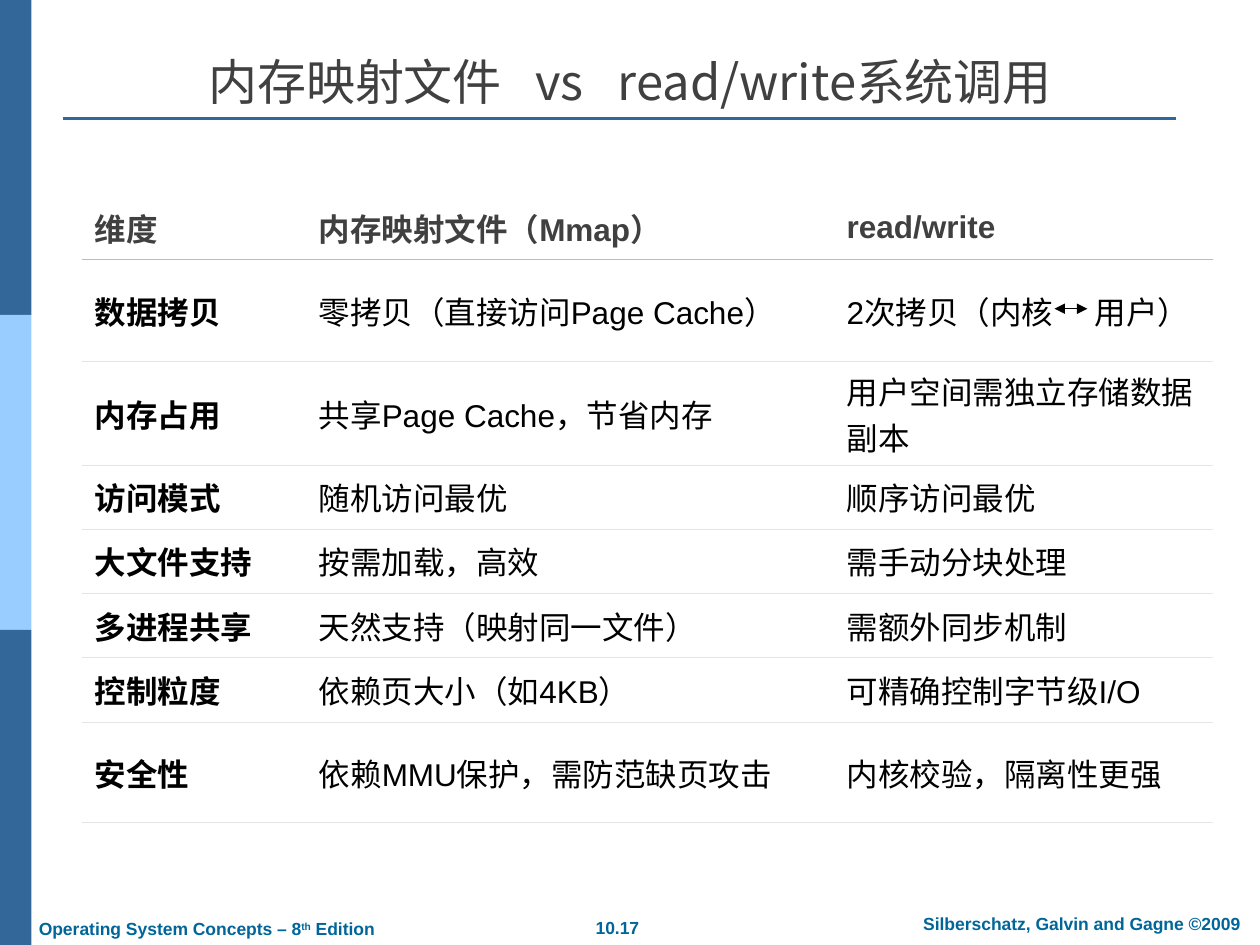
from lxml.etree import SubElement
from pptx import Presentation
from pptx.dml.color import RGBColor
from pptx.enum.shapes import MSO_CONNECTOR, MSO_SHAPE
from pptx.enum.text import MSO_ANCHOR, MSO_AUTO_SIZE, PP_ALIGN
from pptx.oxml import parse_xml
from pptx.oxml.ns import nsdecls, qn
from pptx.util import Inches, Pt

CJK = "Noto Sans CJK SC"
BLUE, SKY, FOOT = "336699", "99CCFF", "006699"
GRAY, BLACK, WHITE = "404040", "000000", "FFFFFF"
HEAD_RULE, ROW_RULE = "BBBBBB", "E5E5E5"
NO_STYLE = "{2D5ABB26-0587-4C30-8999-92F81FD0307C}"

TITLE = [("内存映射文件", 0), (" ", 13), ("vs", 0), (" ", 13), ("read/write系统调用", 0)]
ROWS = [
    ("维度", "内存映射文件（Mmap）", "read/write"),
    ("数据拷贝", "零拷贝（直接访问Page Cache）", "2次拷贝（内核\t用户）"),
    ("内存占用", "共享Page Cache，节省内存", "用户空间需独立存储数据副本"),
    ("访问模式", "随机访问最优", "顺序访问最优"),
    ("大文件支持", "按需加载，高效", "需手动分块处理"),
    ("多进程共享", "天然支持（映射同一文件）", "需额外同步机制"),
    ("控制粒度", "依赖页大小（如4KB）", "可精确控制字节级I/O"),
    ("安全性", "依赖MMU保护，需防范缺页攻击", "内核校验，隔离性更强"),
]
COL_WIDTHS = [1.78, 4.19, 3.01]
ROW_HEIGHTS = [0.51, 0.81, 0.82, 0.51, 0.51, 0.51, 0.51, 0.8]
ARROW_TAB = 1.97
FOOTERS = [
    ((4.37, 7.23, 1.06, 0.27), [("10.17", 0)], PP_ALIGN.CENTER),
    ((7.1, 7.2, 2.97, 0.27), [("Silberschatz, Galvin and Gagne ©2009", 0)],
     PP_ALIGN.CENTER),
    ((0.21, 7.24, 3.2, 0.27),
     [("Operating System Concepts – 8", 0), ("th", 30000), (" Edition", 0)],
     PP_ALIGN.LEFT),
]


def rgb(color):
    return RGBColor.from_string(color)


def add_text(p, text, size=18, color=BLACK, bold=False, font="Arial", spacing=0, raised=0):
    r = p.add_run()
    r.text = text
    f = r.font
    f.size, f.bold, f.name = Pt(size), bold, font
    f.color.rgb = rgb(color)
    rPr = r._r.get_or_add_rPr()
    SubElement(rPr, qn("a:ea")).set("typeface", CJK)
    if spacing:
        rPr.set("spc", str(spacing * 100))
    if raised:
        rPr.set("baseline", str(raised))


def add_line(s, x1, x2, y, color, width, arrows=False):
    line = s.shapes.add_connector(
        MSO_CONNECTOR.STRAIGHT, Inches(x1), Inches(y), Inches(x2), Inches(y))
    line.line.color.rgb = rgb(color)
    line.line.width = Pt(width)
    if arrows:
        ln = line.line._get_or_add_ln()
        for end in ("a:headEnd", "a:tailEnd"):
            SubElement(ln, qn(end)).set("type", "triangle")
    SubElement(line._element.spPr, qn("a:effectLst"))


def set_rule(cell, side, color):
    cell._tc.get_or_add_tcPr().append(parse_xml(
        f'<a:{side} {nsdecls("a")} w="4318"><a:solidFill>'
        f'<a:srgbClr val="{color}"/></a:solidFill></a:{side}>'))


def add_frame(s):
    for i, color in enumerate((BLUE, SKY, BLUE)):
        sp = s.shapes.add_shape(
            MSO_SHAPE.RECTANGLE, 0, Inches(2.5 * i), Inches(0.25), Inches(2.5))
        sp.shadow.inherit = False
        sp.fill.solid()
        sp.fill.fore_color.rgb = rgb(color)
        sp.line.fill.background()
    add_line(s, 0.5, 9.33, 0.94, BLUE, 1.5)
    for box, runs, align in FOOTERS:
        tf = s.shapes.add_textbox(*map(Inches, box)).text_frame
        tf.word_wrap = True
        p = tf.paragraphs[0]
        p.alignment = align
        for text, raised in runs:
            add_text(p, text, size=10, color=FOOT, bold=True, raised=raised)


def add_title(s):
    sp = s.shapes.title
    sp.left, sp.top, sp.width, sp.height = map(Inches, (0.5, 0.3, 9, 0.63))
    tf = sp.text_frame
    tf.auto_size = MSO_AUTO_SIZE.NONE
    tf.vertical_anchor = MSO_ANCHOR.BOTTOM
    p = tf.paragraphs[0]
    p.alignment = PP_ALIGN.CENTER
    for text, spacing in TITLE:
        add_text(p, text, size=28, color=GRAY, font=CJK, spacing=spacing)


def add_comparison(s):
    table = s.shapes.add_table(
        len(ROWS), len(COL_WIDTHS), Inches(0.65), Inches(1.55),
        Inches(sum(COL_WIDTHS)), Inches(sum(ROW_HEIGHTS))).table
    table.horz_banding = False
    table._tbl.tblPr.find(qn("a:tableStyleId")).text = NO_STYLE
    for col, width in zip(table.columns, COL_WIDTHS):
        col.width = Inches(width)
    for row, height in zip(table.rows, ROW_HEIGHTS):
        row.height = Inches(height)
    for i, row in enumerate(ROWS):
        for j, text in enumerate(row):
            cell = table.cell(i, j)
            cell.vertical_anchor = MSO_ANCHOR.MIDDLE
            if i:
                set_rule(cell, "lnT", HEAD_RULE if i == 1 else ROW_RULE)
            set_rule(cell, "lnB", ROW_RULE if i else HEAD_RULE)
            cell.fill.solid()
            cell.fill.fore_color.rgb = rgb(WHITE)
            p = cell.text_frame.paragraphs[0]
            if "\t" in text:
                tabs = SubElement(p._p.get_or_add_pPr(), qn("a:tabLst"))
                tab = SubElement(tabs, qn("a:tab"))
                tab.set("pos", str(Inches(ARROW_TAB)))
                tab.set("algn", "l")
            add_text(p, text, color=BLACK if i else GRAY, bold=i == 0 or j == 0)
    add_line(s, 8.37, 8.63, 2.45, BLACK, 0.75, arrows=True)


def main():
    prs = Presentation()
    prs.slide_width, prs.slide_height = Inches(10), Inches(7.5)
    s = prs.slides.add_slide(prs.slide_layouts[5])
    add_frame(s)
    add_title(s)
    add_comparison(s)
    prs.save("out.pptx")


if __name__ == "__main__":
    main()
